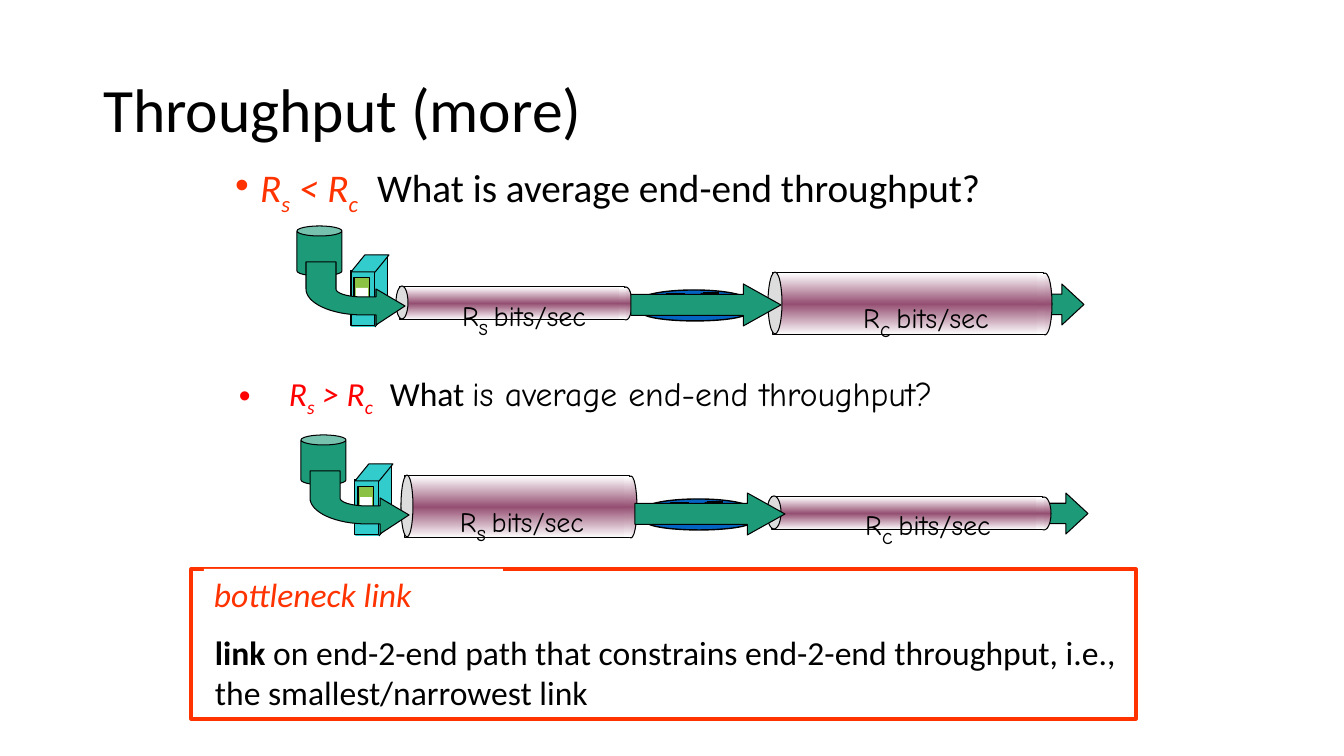
from copy import deepcopy
from math import cos, pi, sin

from lxml import etree
from pptx import Presentation
from pptx import util as u
from pptx.dml.color import RGBColor
from pptx.enum import shapes, text
from pptx.oxml.ns import qn

SCALE = 914400 / 100.8  # EMU in one px
COLORS = {
    "ink": "000000", "white": "FFFFFF", "orange": "FF3300", "red": "FF0000",
    "green": "1D9A78", "purple": "954F72", "gray": "DDDDDD",
    "blue": "0563C1", "teal": "33CCCC", "lime": "8BC145",
}
HAND = "Comic Neue"
KIND = shapes.MSO_SHAPE


def emu(px):
    return u.Emu(round(px * SCALE))


def rgb(name):
    return RGBColor.from_string(COLORS[name])


def add_span(para, words, size=24, color="ink", font="Calibri",
             bold=False, italic=False, sub=False):
    span = para.add_run()
    span.text = words
    span.font.name, span.font.size = font, u.Pt(size)
    span.font.bold, span.font.italic = bold, italic
    span.font.color.rgb = rgb(color)
    if sub:
        span._r.get_or_add_rPr().set("baseline", "-25000")


def add_bullet(para, indent, tab):
    props = para._p.get_or_add_pPr()
    props.set("marL", str(emu(indent)))
    props.set("indent", str(-emu(indent)))
    etree.SubElement(props, qn("a:buFont"), typeface="Arial")
    etree.SubElement(props, qn("a:buChar"), char="•")
    tabs = etree.SubElement(props, qn("a:tabLst"))
    etree.SubElement(tabs, qn("a:tab"), pos=str(emu(tab)), algn="l")


class Slide:
    def __init__(self, deck):
        self.page = deck.slides.add_slide(deck.slide_layouts[1])
        self.dx = self.dy = 0

    def frame(self, box, anchor=text.MSO_ANCHOR.TOP, spacing=1.0,
              align=text.PP_ALIGN.LEFT):
        frame = box.text_frame
        frame.word_wrap = True
        frame.auto_size = text.MSO_AUTO_SIZE.NONE
        frame.vertical_anchor = anchor
        para = frame.paragraphs[0]
        para.alignment, para.line_spacing = align, spacing
        para.space_before = u.Pt(0)
        return para

    def place(self, holder, x, y, width, height, **style):
        holder.left, holder.top = emu(x), emu(y)
        holder.width, holder.height = emu(width), emu(height)
        return self.frame(holder, **style)

    def text_box(self, x, y, width, height, **style):
        box = self.page.shapes.add_textbox(
            emu(x), emu(y), emu(width), emu(height))
        return self.frame(box, **style)

    def paint(self, shape, fill, line, weight):
        shape.shadow.inherit = False
        if fill == "metal":
            shape.fill.gradient()
            shape.fill.gradient_angle = 90
            for stop, color, position in zip(
                    shape.fill.gradient_stops, ("white", "purple"), (0, 0.5)):
                stop.color.rgb, stop.position = rgb(color), position
            stops = shape.element.spPr.find(qn("a:gradFill")).find(qn("a:gsLst"))
            last = deepcopy(stops[0])
            last.set("pos", "100000")
            stops.append(last)
        else:
            shape.fill.solid()
            shape.fill.fore_color.rgb = rgb(fill)
        if line:
            shape.line.color.rgb, shape.line.width = rgb(line), u.Pt(weight)
        else:
            shape.line.fill.background()

    def shape(self, kind, x, y, width, height, fill, line="ink", weight=0.75,
              adjust=()):
        shape = self.page.shapes.add_shape(
            kind, emu(x + self.dx), emu(y + self.dy), emu(width), emu(height))
        for index, value in enumerate(adjust):
            shape.adjustments[index] = value
        self.paint(shape, fill, line, weight)
        return shape

    def outline(self, points, fill):
        points = [(emu(x + self.dx), emu(y + self.dy)) for x, y in points]
        builder = self.page.shapes.build_freeform(*points[0])
        builder.add_line_segments(points[1:], close=True)
        self.paint(builder.convert_to_shape(), fill, "ink", 0.75)

    def line(self, x1, y1, x2, y2, weight=0.75):
        line = self.page.shapes.add_connector(
            shapes.MSO_CONNECTOR.STRAIGHT, emu(x1 + self.dx), emu(y1 + self.dy),
            emu(x2 + self.dx), emu(y2 + self.dy))
        line.line.color.rgb, line.line.width = rgb("ink"), u.Pt(weight)
        etree.SubElement(line.element.spPr, qn("a:effectLst"))

    def router(self):
        self.shape(KIND.OVAL, 642, 304, 106, 17, "blue", weight=1)
        for x in (642, 748):
            self.line(x, 302, x, 313, 1)
        self.shape(KIND.RECTANGLE, 642, 302, 105, 10, "blue", None)
        self.shape(KIND.OVAL, 641, 290, 106, 20, "blue", weight=1)
        for start, end in ((295, 306), (306, 294)):
            self.line(666, start, 685, start, 2.25)
            self.line(683, start, 703, end, 2.25)
            self.line(703, end, 719, end, 2.25)

    def server(self):
        slant = dict(adjust=[0.814])
        self.shape(KIND.PARALLELOGRAM, 351, 310, 38, 17, "teal", None, **slant)
        self.shape(KIND.RECTANGLE, 370, 255, 17, 55, "teal", None)
        self.shape(KIND.RECTANGLE, 351, 271, 24, 55, "teal")
        self.shape(KIND.PARALLELOGRAM, 351, 255, 38, 17, "teal", **slant)
        self.line(388, 256, 388, 310)
        self.line(388, 310, 375, 327)
        self.shape(KIND.RECTANGLE, 354, 278, 16, 32, "lime")
        self.shape(KIND.RECTANGLE, 356, 288, 12, 11, "white", None)

    def bend(self):
        def arc(rx, ry):
            angles = [pi / 2 * step / 16 for step in range(17)]
            return [(363 - rx * sin(a), 289 + ry * cos(a)) for a in angles]

        self.outline([(405, 306), (376, 325), (376, 315), *arc(57, 26),
                      (306, 262), (336, 262), *reversed(arc(27, 8)),
                      (376, 297), (376, 289)], "green")

    def pipe(self, x, y, width, height, cap):
        end, half = x + width, cap // 2
        self.shape(KIND.OVAL, end - half + 1, y, cap, height, "metal")
        self.shape(KIND.RECTANGLE, x, y, width, height, "metal")
        self.shape(KIND.OVAL, x - half + 2, y - 1, cap, height, "gray")
        self.shape(KIND.RECTANGLE, end - half, y + 1, half + 1, height - 2,
                   "metal", None)

    def label(self, center, y, letter):
        para = self.text_box(center - 143 + self.dx, y + self.dy, 286, 43,
                             align=text.PP_ALIGN.CENTER)
        add_span(para, "R", 20, font=HAND)
        add_span(para, letter, 28, font=HAND, sub=True)
        add_span(para, " ", 20, font=HAND, sub=True)
        add_span(para, "bits/sec", 20, font=HAND)

    def network(self, dx, dy, server_pipe, client_pipe, server_label, client_label):
        self.dx, self.dy = dx, dy
        self.line(401, 302, 1041, 302)
        self.router()
        self.server()
        self.shape(KIND.CAN, 297, 226, 45, 50, "green", adjust=[0.223])
        self.pipe(*server_pipe, cap=12)
        self.label(*server_label, "s")
        self.bend()
        self.shape(KIND.RIGHT_ARROW, 994, 284, 90, 41, "green", adjust=[0.5, 0.539])
        self.pipe(*client_pipe, cap=14)
        self.label(*client_label, "c")
        self.shape(KIND.RIGHT_ARROW, 631, 284, 150, 42, "green", adjust=[0.5, 0.896])
        self.dx = self.dy = 0


def add_question(para, sign, size, color, indent, tab, tail, tail_font):
    add_bullet(para, indent, tab)
    for words, sub in (("R", False), ("s", True), (f" {sign} R", False), ("c", True)):
        add_span(para, words, size, color, italic=True, sub=sub)
    add_span(para, "\tWhat ", size)
    add_span(para, tail, size, font=tail_font)


def main():
    deck = Presentation()
    deck.slide_width, deck.slide_height = emu(1344), emu(756)
    slide = Slide(deck)
    title, body = slide.page.placeholders

    # Title and first question
    para = slide.place(title, 93, 40, 1159, 146, spacing=0.9,
                       anchor=text.MSO_ANCHOR.MIDDLE)
    add_span(para, "Throughput (more)", 44)
    tail = "is average end-end throughput?"
    para = slide.place(body, 225, 159, 898, 61, spacing=0.9)
    add_question(para, "<", 28, "orange", 25, 142, tail, "Calibri")

    # Narrow server pipe, wide client pipe
    slide.network(0, 0, (400, 287, 225, 33), (773, 273, 271, 62),
                  (524, 282), (926, 284))

    # Second question, with the widths swapped
    para = slide.text_box(229, 368, 889, 61)
    add_question(para, ">", 24, "red", 50, 151, tail, HAND)
    slide.network(4, 209, (401, 267, 225, 62), (768, 288, 271, 33),
                  (518, 279), (924, 282))

    # Bottleneck definition
    slide.shape(KIND.RECTANGLE, 191, 569, 945, 150, "white", "orange", 2.25)
    para = slide.text_box(205, 627, 934, 92)
    add_span(para, "link", bold=True)
    add_span(para, " on end-2-end path that constrains end-2-end throughput, "
                   "i.e., the smallest/narrowest link")
    heading = slide.shape(KIND.RECTANGLE, 204, 569, 299, 50, "white", None)
    add_span(slide.frame(heading), "bottleneck link", color="orange", italic=True)

    deck.save("out.pptx")


if __name__ == "__main__":
    main()
